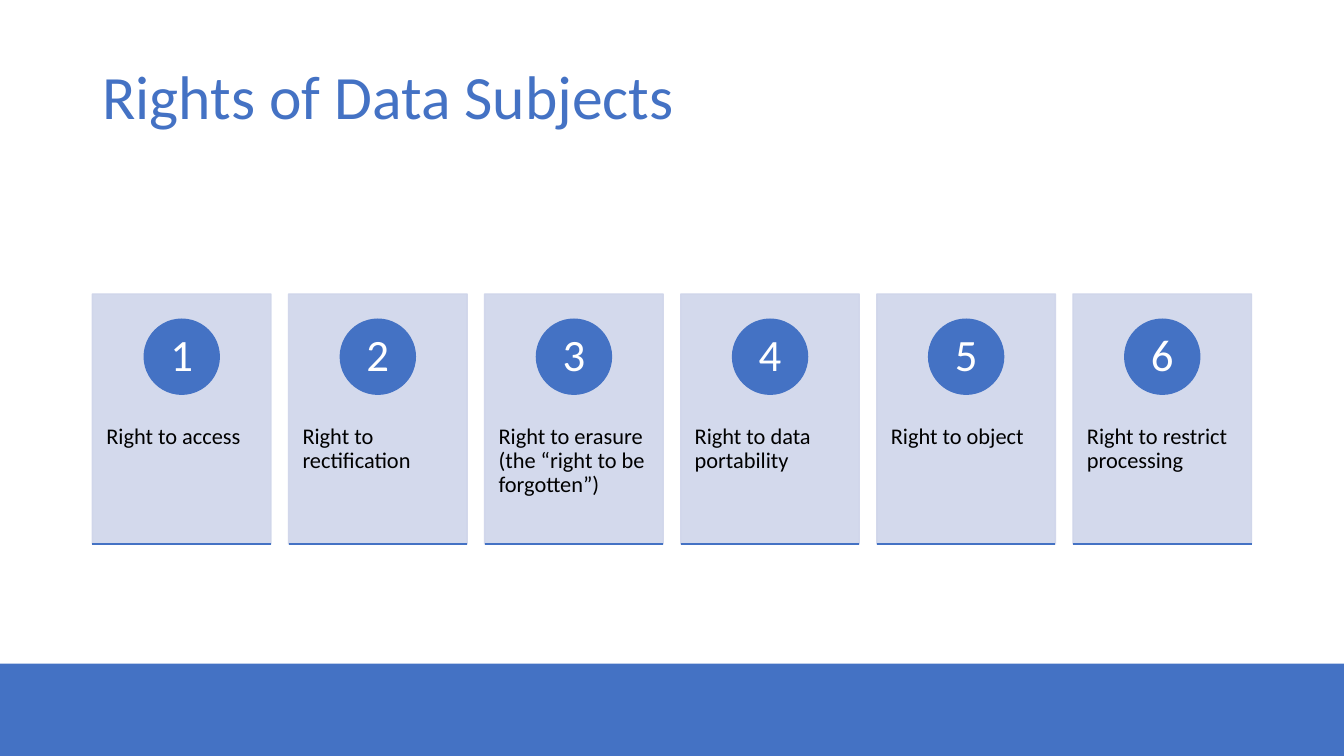
from dataclasses import dataclass

from lxml.etree import SubElement
from pptx import Presentation
from pptx.dml.color import RGBColor
from pptx.enum.shapes import MSO_CONNECTOR, MSO_SHAPE
from pptx.enum.text import MSO_ANCHOR, PP_ALIGN
from pptx.oxml.ns import qn
from pptx.shapes.autoshape import Shape
from pptx.slide import Slide
from pptx.util import Pt

COLORS = {"blue": "4472C4", "card": "CFD5EA", "black": "000000", "white": "FFFFFF"}
FONT = "Calibri"
SLIDE_W, SLIDE_H = 960, 540
BAND_TOP = 474
MARGIN = 66
CARD_TOP, CARD_W, CARD_H = 210, 127.6, 178.6
CIRCLE_TOP, CIRCLE_D = 228, 53.6
RIGHTS = [
    "Right to access",
    "Right to rectification",
    "Right to erasure (the “right to be forgotten”)",
    "Right to data portability",
    "Right to object",
    "Right to restrict processing",
]
PITCH = (SLIDE_W - 2 * MARGIN - CARD_W) / (len(RIGHTS) - 1)


@dataclass
class Card:
    number: int
    text: str

    @property
    def left(self) -> float:
        return MARGIN + (self.number - 1) * PITCH


def rgb(name: str) -> RGBColor:
    return RGBColor.from_string(COLORS[name])


def add_filled(s: Slide, kind: MSO_SHAPE, left: float, top: float,
               width: float, height: float, color: str) -> Shape:
    sp = s.shapes.add_shape(kind, Pt(left), Pt(top), Pt(width), Pt(height))
    sp.shadow.inherit = False
    sp.fill.solid()
    sp.fill.fore_color.rgb = rgb(color)
    sp.line.color.rgb = rgb(color)
    sp.line.width = Pt(1)
    return sp


def set_alpha(sp: Shape, percent: int) -> None:
    """Make the fill and the line of a shape partly transparent."""
    for clr in sp._element.spPr.iter(qn("a:srgbClr")):
        SubElement(clr, qn("a:alpha")).set("val", str(percent * 1000))


def set_text(sp: Shape, text: str, size: float, color: str, align: PP_ALIGN,
             anchor: MSO_ANCHOR, side: float, top: float) -> None:
    """Write one paragraph; side and top are the inner margins."""
    tf = sp.text_frame
    tf.text = text
    tf.word_wrap = True
    tf.vertical_anchor = anchor
    tf.margin_left = tf.margin_right = Pt(side)
    tf.margin_top, tf.margin_bottom = Pt(top), Pt(0)
    p = tf.paragraphs[0]
    p.alignment = align
    p.line_spacing = 0.9
    r = p.runs[0]
    r.font.name = FONT
    r.font.size = Pt(size)
    r.font.color.rgb = rgb(color)


def draw_card(s: Slide, card: Card) -> None:
    sp = add_filled(s, MSO_SHAPE.RECTANGLE, card.left, CARD_TOP, CARD_W, CARD_H, "card")
    set_alpha(sp, 90)
    set_text(sp, card.text, 16, "black", PP_ALIGN.LEFT, MSO_ANCHOR.TOP, 10, 93.6)

    circle = add_filled(s, MSO_SHAPE.OVAL, card.left + (CARD_W - CIRCLE_D) / 2,
                        CIRCLE_TOP, CIRCLE_D, CIRCLE_D, "blue")
    set_text(circle, str(card.number), 32, "white", PP_ALIGN.CENTER,
             MSO_ANCHOR.MIDDLE, 4, 0)

    bottom = Pt(CARD_TOP + CARD_H)
    rule = s.shapes.add_connector(MSO_CONNECTOR.STRAIGHT, Pt(card.left), bottom,
                                  Pt(card.left + CARD_W), bottom)
    rule.line.color.rgb = rgb("blue")
    rule.line.width = Pt(1)
    SubElement(rule._element.spPr, qn("a:effectLst"))


def main() -> None:
    prs = Presentation()
    prs.slide_width, prs.slide_height = Pt(SLIDE_W), Pt(SLIDE_H)
    s = prs.slides.add_slide(prs.slide_layouts[6])

    band = add_filled(s, MSO_SHAPE.RECTANGLE, 0, BAND_TOP, SLIDE_W,
                      SLIDE_H - BAND_TOP, "blue")
    band.line.fill.background()

    title = s.shapes.add_textbox(Pt(MARGIN), Pt(28.8), Pt(SLIDE_W - 2 * MARGIN), Pt(84))
    set_text(title, "Rights of Data Subjects", 44, "blue", PP_ALIGN.LEFT,
             MSO_ANCHOR.MIDDLE, 7.2, 0)

    for number, text in enumerate(RIGHTS, start=1):
        draw_card(s, Card(number, text))

    prs.save("out.pptx")


if __name__ == "__main__":
    main()
